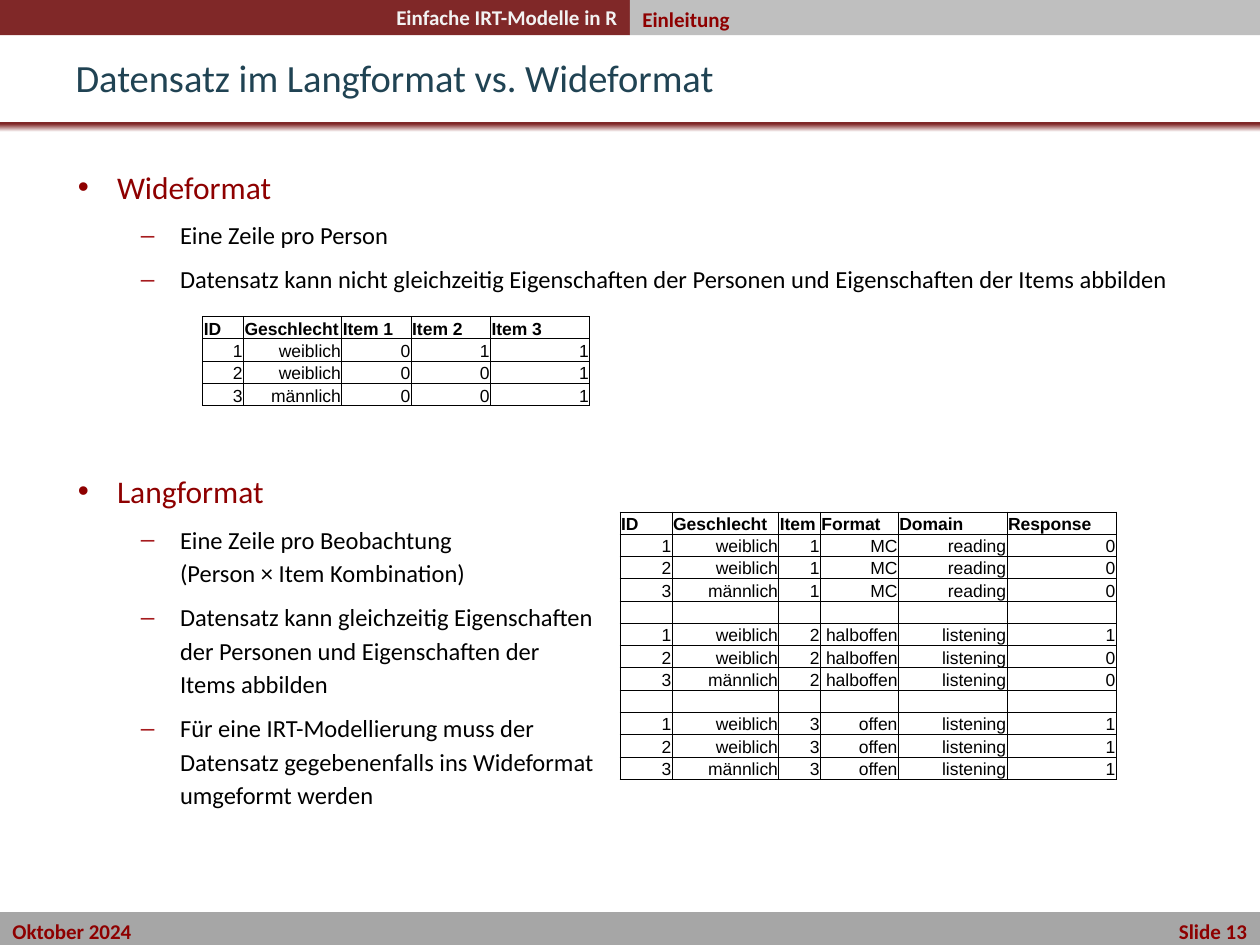
from copy import deepcopy
from pptx import Presentation
from pptx.dml.color import RGBColor
from pptx.enum.shapes import MSO_SHAPE
from pptx.enum.text import MSO_ANCHOR, PP_ALIGN
from pptx.oxml.ns import qn
from pptx.oxml.xmlchemy import OxmlElement
from pptx.util import Cm, Pt

RED, WINE = "8E0000", "802828"


def tint(color, code):
    color.rgb = RGBColor.from_string(code)


def child(node, tag, **attrs):
    item = OxmlElement(tag)
    for name, value in attrs.items():
        item.set(name, str(value))
    node.append(item)
    return item


def write(para, text, size=12, font="Calibri", color=RED, bold=False,
          align=PP_ALIGN.LEFT):
    para.text = text
    para.alignment = align
    for run in para.runs:
        run.font.size = Pt(size)
        run.font.name = font
        run.font.bold = bold
        tint(run.font.color, color)
    for brk in para._p.findall(qn("a:br")):
        brk.append(deepcopy(para.runs[0]._r.rPr))
    if not text:
        para._p.get_or_add_endParaRPr().set("sz", str(size * 100))


def bar(slide, box, code=None):
    shape = slide.shapes.add_shape(MSO_SHAPE.RECTANGLE, *map(Cm, box))
    shape.shadow.inherit = False
    shape.line.fill.background()
    if code:
        shape.fill.solid()
        tint(shape.fill.fore_color, code)
    return shape


def label(slide, box, text, **format):
    frame = slide.shapes.add_textbox(*map(Cm, box)).text_frame
    frame.word_wrap = True
    write(frame.paragraphs[0], text, bold=True, **format)


def header(slide, box):
    left, top, width, height = box
    half = width / 2
    bar(slide, (left, top, half, height), WINE)
    bar(slide, (left + half, top, half, height), "BFBFBF")
    label(slide, (left, top - 0.03, half, 0.76), "Einfache IRT-Modelle in R",
          color="F2F2F2", align=PP_ALIGN.RIGHT)
    label(slide, (left + half, top, half, 0.99), "Einleitung")


def rule(slide, box):
    fill = bar(slide, box).fill
    fill.gradient()
    fill.gradient_angle = 90
    for stop, place, code in zip(fill.gradient_stops, (0, 0.81), ("FFFFFF", WINE)):
        stop.position = place
        tint(stop.color, code)


def footer(slide, box):
    frame = bar(slide, box, "A6A6A6").text_frame
    frame.vertical_anchor = MSO_ANCHOR.TOP
    para = frame.paragraphs[0]
    write(para, "Oktober 2024 \tSlide 13", bold=True)
    stops = child(para._p.get_or_add_pPr(), "a:tabLst")
    child(stops, "a:tab", pos=Cm(box[2] - 0.51), algn="r")


def heading(slide, box, text):
    title = slide.shapes.title
    title.left, title.top, title.width, title.height = map(Cm, box)
    title.text_frame.vertical_anchor = MSO_ANCHOR.MIDDLE
    write(title.text_frame.paragraphs[0], text, size=22, color="204353")


def body(slide, box, points):
    frame = slide.shapes.add_textbox(*map(Cm, box)).text_frame
    frame.word_wrap = True
    for i, (level, text, gap) in enumerate(points):
        para = frame.add_paragraph() if i else frame.paragraphs[0]
        write(para, text, size=14 if level else 18,
              color="000000" if level else RED)
        para.level = level
        para.line_spacing = 1.14
        para.space_before = Pt(gap)
        props = para._p.get_or_add_pPr()
        props.set("marL", str(Cm(2.06 if level else 0.79)))
        props.set("indent", str(Cm(-0.79)))
        if level:
            child(child(props, "a:buClr"), "a:srgbClr", val="A61B1E")
        child(props, "a:buFont", typeface="Arial")
        child(props, "a:buChar", char="–" if level else "•")


def edge(cell):
    props = cell._tc.get_or_add_tcPr()
    for side in "LRTB":
        line = child(props, f"a:ln{side}", w=Pt(0.5))
        child(child(line, "a:solidFill"), "a:srgbClr", val="000000")


def grid(slide, box, widths, rows):
    table = slide.shapes.add_table(len(rows), len(widths), *map(Cm, box)).table
    table.first_row = table.horz_banding = False
    for col, width in zip(table.columns, widths):
        col.width = Cm(width)
    for r, row in enumerate(rows):
        table.rows[r].height = Cm(box[3] / len(rows))
        for c, text in enumerate(row):
            cell = table.cell(r, c)
            cell.margin_left = cell.margin_right = cell.margin_top = Cm(0.02)
            cell.margin_bottom = 0
            cell.vertical_anchor = MSO_ANCHOR.BOTTOM
            edge(cell)
            cell.fill.background()
            write(cell.text_frame.paragraphs[0], text, size=10, font="Arial",
                  color="000000", bold=r == 0,
                  align=PP_ALIGN.RIGHT if r else PP_ALIGN.LEFT)


POINTS = [
    (0, "Wideformat", 6),
    (1, "Eine Zeile pro Person", 6),
    (1, "Datensatz kann nicht gleichzeitig Eigenschaften der Personen und "
        "Eigenschaften der Items abbilden", 6),
    (0, "Langformat", 99),
    (1, "Eine Zeile pro Beobachtung \n(Person × Item Kombination)", 6),
    (1, "Datensatz kann gleichzeitig Eigenschaften \n"
        "der Personen und Eigenschaften der \nItems abbilden", 6),
    (1, "Für eine IRT-Modellierung muss der \n"
        "Datensatz gegebenenfalls ins Wideformat\numgeformt werden", 6),
]
PEOPLE = [("1", "weiblich"), ("2", "weiblich"), ("3", "männlich")]
WIDE = [("ID", "Geschlecht", "Item 1", "Item 2", "Item 3")] + [
    (*who, *marks) for who, marks in zip(PEOPLE, ("011", "001", "001"))]
ITEMS = [("1", "MC", "reading", "000"),
         ("2", "halboffen", "listening", "100"),
         ("3", "offen", "listening", "111")]


def long():
    rows = [("ID", "Geschlecht", "Item", "Format", "Domain", "Response")]
    for i, (*item, marks) in enumerate(ITEMS):
        if i:
            rows.append([""] * 6)
        rows += [(*who, *item, mark) for who, mark in zip(PEOPLE, marks)]
    return rows


def main():
    deck = Presentation()
    deck.slide_width, deck.slide_height = Cm(25.4), Cm(19.05)
    slide = deck.slides.add_slide(deck.slide_layouts[5])
    footer(slide, (0, 18.39, 25.4, 0.76))
    rule(slide, (0, 2.46, 25.4, 0.2))
    header(slide, (0, 0, 25.4, 0.71))
    heading(slide, (1.27, 0.95, 20.42, 1.2), "Datensatz im Langformat vs. Wideformat")
    body(slide, (1.32, 3.15, 23.39, 15.19), POINTS)
    grid(slide, (4.09, 6.38, 7.8, 1.8), (0.82, 1.98, 1.4, 1.6, 2), WIDE)
    grid(slide, (12.5, 10.32, 10, 5.39), (1.05, 2.15, 0.84, 1.57, 2.19, 2.2), long())
    deck.save("out.pptx")


if __name__ == "__main__":
    main()
